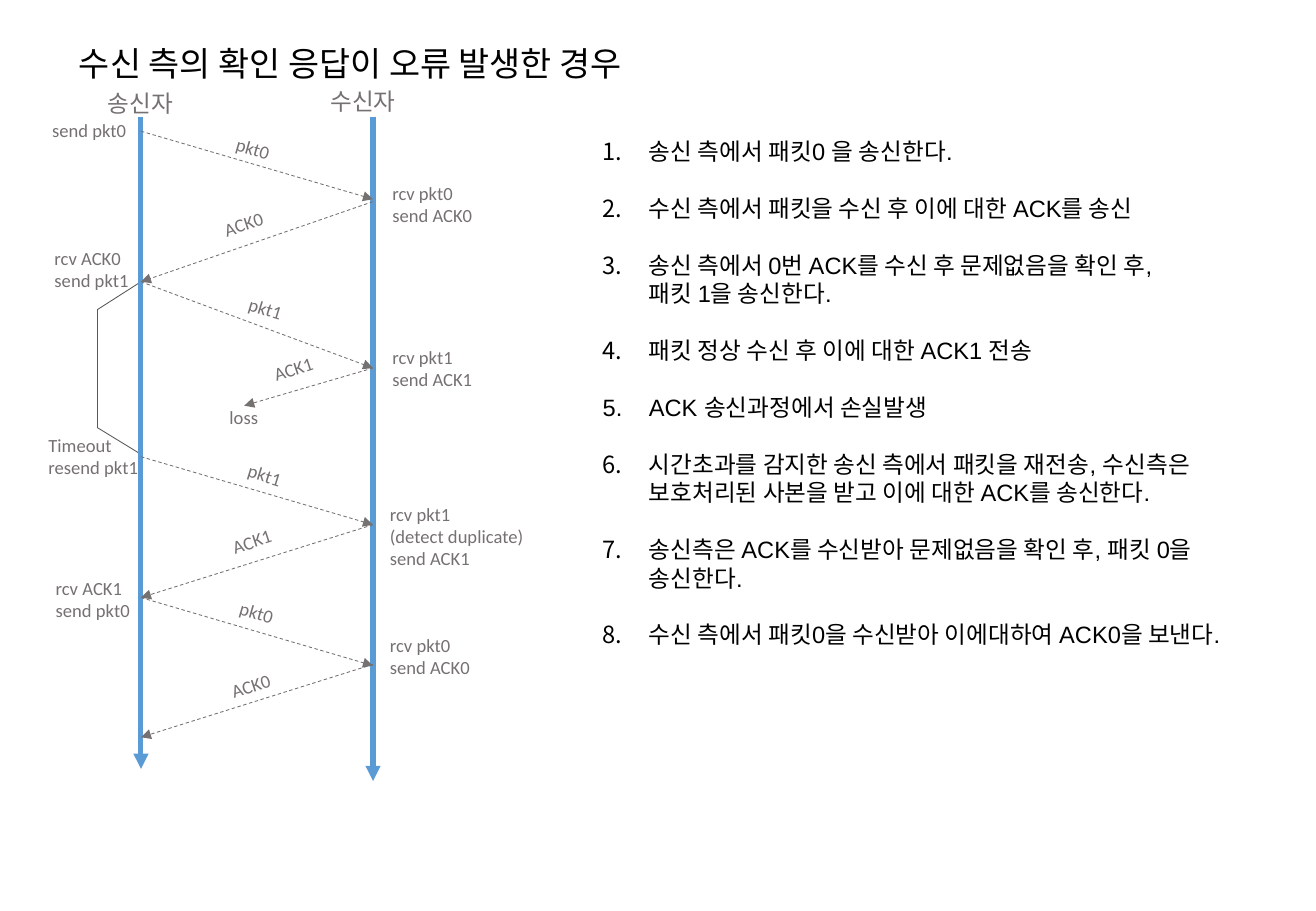
from dataclasses import dataclass

from lxml import etree
from pptx import Presentation
from pptx import util as u
from pptx.dml import color
from pptx.enum import dml, shapes, text
from pptx.oxml import ns


@dataclass(frozen=True)
class Theme:
    ink: str = "000000"
    grey: str = "767171"
    dark: str = "595959"
    blue: str = "5B9BD5"
    head: float = 20
    body: float = 14
    note: float = 11
    sans: str = "Arial"
    label: str = "Calibri"
    hangul: str = "Noto Sans CJK KR"
    thin: float = 0.5
    thick: float = 3


class Page:
    COLS, ROWS = 10.83, 7.5  # grid cells across and down

    def __init__(self, deck, theme):
        self.theme = theme
        self.col = deck.slide_width / self.COLS
        self.row = deck.slide_height / self.ROWS
        self.slide = deck.slides.add_slide(deck.slide_layouts[1])

    def box(self, x, y, w, h):
        return (int(x * self.col), int(y * self.row),
                int(w * self.col), int(h * self.row))

    def place(self, shape, area):
        shape.left, shape.top, shape.width, shape.height = self.box(*area)
        frame = shape.text_frame
        frame.word_wrap = True
        frame.auto_size = text.MSO_AUTO_SIZE.NONE
        frame.vertical_anchor = text.MSO_ANCHOR.TOP
        return frame

    def style(self, frame, size, face, tone):
        for para in frame.paragraphs:
            para.alignment = text.PP_ALIGN.LEFT
            for run in para.runs:
                font = run.font
                font.size, font.name = u.Pt(size), face
                font.color.rgb = color.RGBColor.from_string(tone)
                east = etree.SubElement(run._r.get_or_add_rPr(), ns.qn("a:ea"))
                east.set("typeface", self.theme.hangul)

    def title(self, words, area):
        frame = self.place(self.slide.shapes.title, area)
        frame.text = words
        self.style(frame, self.theme.head, self.theme.hangul, self.theme.ink)

    def steps(self, items, area, indent, gap):
        frame = self.place(self.slide.placeholders[1], area)
        for i, item in enumerate(items):
            para = frame.add_paragraph() if i else frame.paragraphs[0]
            para.text = item
            para.space_before, para.space_after = u.Pt(0), u.Pt(gap)
            props = para._p.get_or_add_pPr()
            inset = int(indent * self.col)
            props.set("marL", str(inset))
            props.set("indent", str(-inset))
            mark = etree.SubElement(props, ns.qn("a:buAutoNum"))
            mark.set("type", "arabicPeriod")
            # A line break keeps the size of its text
            for brk in para._p.findall(ns.qn("a:br")):
                size = etree.SubElement(brk, ns.qn("a:rPr"))
                size.set("sz", str(self.theme.body * 100))
        self.style(frame, self.theme.body, self.theme.sans, self.theme.ink)

    def label(self, words, x, y, turn=0, w=2.19, size=None):
        size = size or self.theme.note
        lines = words.count("\n") + 1
        area = (x, y, w, 0.1 + lines * size / 59)
        shape = self.slide.shapes.add_textbox(*self.box(*area))
        frame = self.place(shape, area)
        frame.text = words
        shape.rotation = turn
        self.style(frame, size, self.theme.label, self.theme.grey)

    def line(self, start, end, tone, width, dash=False, arrow=True):
        ends = self.box(*start, *end)
        link = self.slide.shapes.add_connector(
            shapes.MSO_CONNECTOR.STRAIGHT, *ends)
        link.line.color.rgb = color.RGBColor.from_string(tone)
        link.line.width = u.Pt(width)
        if dash:
            link.line.dash_style = dml.MSO_LINE.DASH
        if arrow:
            tip = etree.SubElement(link.line._get_or_add_ln(), ns.qn("a:tailEnd"))
            tip.set("type", "triangle")
        etree.SubElement(link._element.spPr, ns.qn("a:effectLst"))


SEND, RECV = 1.16, 3.07  # columns of the two lifelines
DOWN, DOWN1, UP = 16.3, 17.2, 341.7  # turns of the message labels

LIVES = [("송신자", SEND, 6.33, 0.79, 0.68), ("수신자", RECV, 6.43, 2.62, 0.67)]

BRACKET = [(SEND, 2.32), (0.8, 2.55), (0.8, 3.52), (SEND, 3.74)]

# Start column and row, end column and row
ARROWS = [
    (SEND, 1.08, RECV, 1.64),
    (RECV, 1.66, SEND, 2.32),
    (SEND, 2.32, RECV, 3.03),
    (RECV, 3.03, 2.01, 3.34),
    (SEND, 3.76, RECV, 4.32),
    (RECV, 4.32, SEND, 4.92),
    (SEND, 4.92, RECV, 5.48),
    (RECV, 5.47, SEND, 6.07),
]

# Words, column, row, then turn and width where they differ
NOTES = [
    ("send pkt0", 0.33, 0.93),
    ("rcv ACK0\nsend pkt1", 0.35, 1.98),
    ("Timeout\nresend pkt1", 0.3, 3.52),
    ("rcv ACK1\nsend pkt0", 0.36, 4.7),
    ("rcv pkt0\nsend ACK0", 3.13, 1.45),
    ("rcv pkt1\nsend ACK1", 3.13, 2.8),
    ("rcv pkt1\n(detect duplicate)\nsend ACK1", 3.11, 4.09),
    ("rcv pkt0\nsend ACK0", 3.11, 5.17),
    ("loss", 1.79, 3.29),
    ("pkt0", 1.81, 1.32, DOWN),
    ("ACK0", 1.7, 1.44, UP),
    ("pkt1", 1.91, 2.65, DOWN1),
    ("ACK1", 2.11, 2.63, UP),
    ("pkt1", 1.94, 3.78, DOWN1, 0.55),
    ("ACK1", 1.81, 4.31, UP, 0.55),
    ("pkt0", 1.84, 5.14, DOWN),
    ("ACK0", 1.76, 5.24, UP),
]

STEPS = [
    "송신 측에서 패킷0 을 송신한다.",
    "수신 측에서 패킷을 수신 후 이에 대한 ACK를 송신",
    "송신 측에서 0번 ACK를 수신 후 문제없음을 확인 후, \n패킷 1을 송신한다.",
    "패킷 정상 수신 후 이에 대한 ACK1 전송",
    "ACK 송신과정에서 손실발생",
    "시간초과를 감지한 송신 측에서 패킷을 재전송, 수신측은 보호처리된 사본을 받고 "
    "이에 대한 ACK를 송신한다.",
    "송신측은 ACK를 수신받아 문제없음을 확인 후, 패킷 0을 송신한다.",
    "수신 측에서 패킷0을 수신받아 이에대하여 ACK0을 보낸다.",
]


def main():
    deck = Presentation()
    deck.slide_width, deck.slide_height = u.Inches(10.83), u.Inches(7.5)
    theme = Theme()
    page = Page(deck, theme)

    # Title and numbered steps
    page.title("수신 측의 확인 응답이 오류 발생한 경우", (0.55, 0.3, 5.32, 0.44))
    page.steps(STEPS, (4.86, 1.08, 5.24, 5.35), indent=0.38, gap=16.9)

    # Timeout bracket
    for start, end in zip(BRACKET, BRACKET[1:]):
        page.line(start, end, theme.dark, theme.thin, arrow=False)

    # Lifelines with their names
    for name, x, foot, left, top in LIVES:
        page.line((x, 0.96), (x, foot), theme.blue, theme.thick)
        page.label(name, left, top, size=theme.body)

    # Messages and notes
    for x, y, to, low in ARROWS:
        page.line((x, y), (to, low), theme.grey, theme.thin, dash=True)
    for note in NOTES:
        page.label(*note)

    deck.save("out.pptx")


if __name__ == "__main__":
    main()
